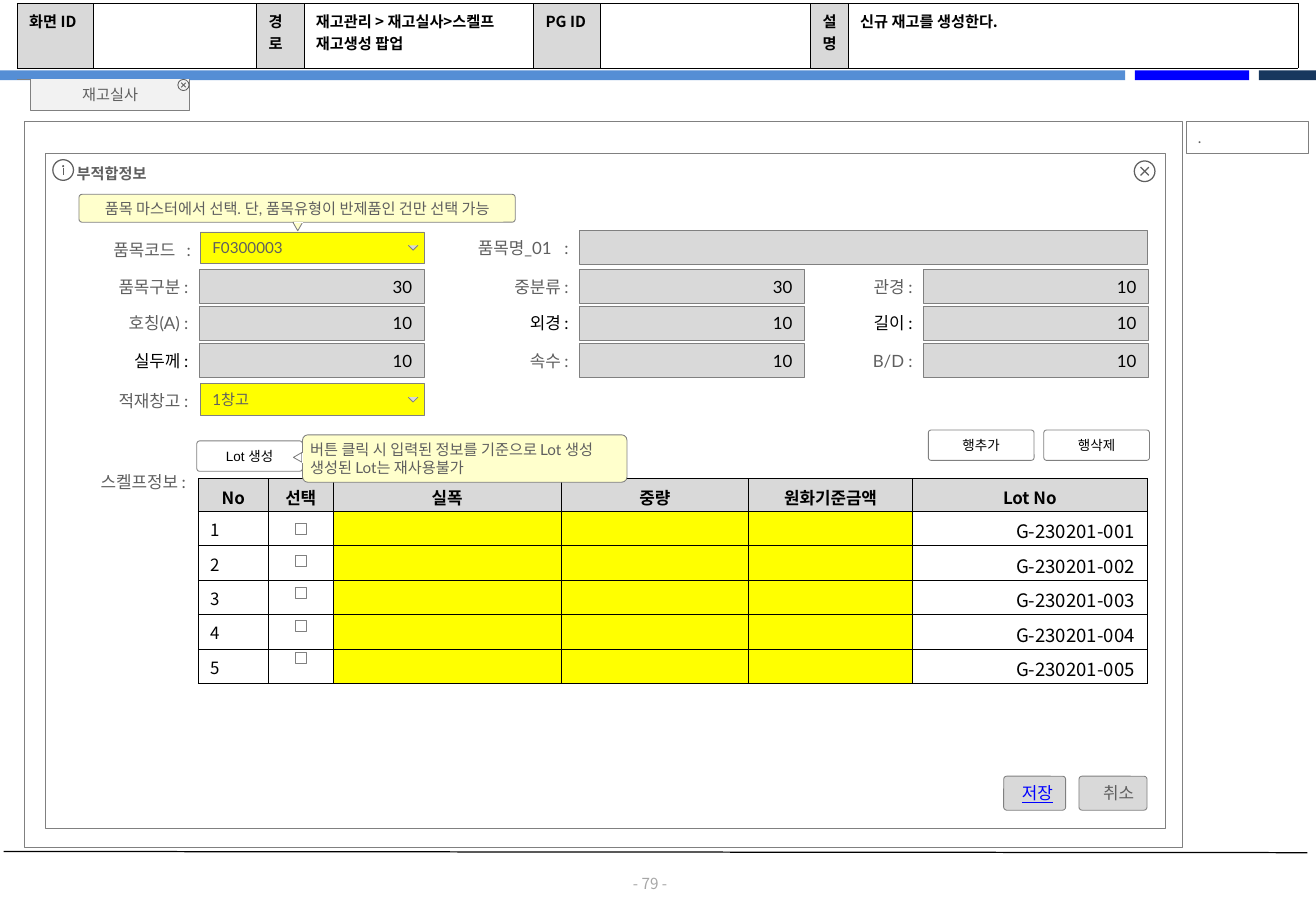
from dataclasses import dataclass

from lxml import etree
from pptx import Presentation
from pptx.dml.color import RGBColor
from pptx.enum.shapes import MSO_CONNECTOR, MSO_SHAPE
from pptx.enum.text import MSO_ANCHOR, PP_ALIGN
from pptx.oxml.ns import qn
from pptx.util import Emu, Inches, Pt

RECTANGLE, ROUNDED = MSO_SHAPE.RECTANGLE, MSO_SHAPE.ROUNDED_RECTANGLE
OVAL, TRIANGLE = MSO_SHAPE.OVAL, MSO_SHAPE.ISOSCELES_TRIANGLE
STRAIGHT = MSO_CONNECTOR.STRAIGHT
LEFT, CENTER, RIGHT = PP_ALIGN.LEFT, PP_ALIGN.CENTER, PP_ALIGN.RIGHT
TOP, MIDDLE, BOTTOM = MSO_ANCHOR.TOP, MSO_ANCHOR.MIDDLE, MSO_ANCHOR.BOTTOM

BLACK, WHITE = RGBColor(0, 0, 0), RGBColor(255, 255, 255)
INK, EDGE = RGBColor(0x5F, 0x5F, 0x5F), RGBColor(0x80, 0x80, 0x80)
GREY, PALE = RGBColor(0xD9, 0xD9, 0xD9), RGBColor(0xF2, 0xF2, 0xF2)
FAINT = RGBColor(0xA6, 0xA6, 0xA6)
YELLOW, CREAM = RGBColor(255, 255, 0), RGBColor(255, 255, 0xCC)
SKY, BLUE = RGBColor(0x55, 0x8E, 0xD5), RGBColor(0, 0, 255)
NAVY = RGBColor(0x17, 0x37, 0x5E)
LATO, ARIAL, NOTO = "Lato", "Arial", "Noto Sans CJK KR"

# The page is a grid of 108.3 columns by 75 rows; boxes are (left, top, width, height).
CELL = Inches(0.1)
FORM_LEFTS = (16.4, 47.7, 76)
FORM_ROWS = (19, 22.2, 25.2, 28.3, 31.6)
FIELD_WIDTH, FIELD_HEIGHT, LABEL_WIDTH = 18.5, 2.8, 11
LOT_TOP, LOT_ROW = 39.4, 16 / 6
Box = tuple[float, float, float, float]


@dataclass
class Field:
    label: str
    value: str
    column: int
    row: int
    color: RGBColor = INK
    width: float = FIELD_WIDTH


@dataclass
class Button:
    text: str
    box: Box
    size: int = 8
    font: str = ARIAL
    color: RGBColor = BLACK
    fill: RGBColor | None = None
    align: PP_ALIGN = CENTER
    underline: bool = False


FIELDS = [
    Field("품목명_01   :", "", 1, 0, width=46.7),
    Field("품목구분 :", "30", 0, 1), Field("중분류 :", "30", 1, 1), Field("관경 :", "10", 2, 1),
    Field("호칭(A) :", "10", 0, 2), Field("외경 :", "10", 1, 2, BLACK),
    Field("길이 :", "10", 2, 2, BLACK),
    Field("실두께 :", "10", 0, 3, BLACK), Field("속수 :", "10", 1, 3), Field("B/D :", "10", 2, 3),
]
BUTTONS = [
    Button("행추가", (76.4, 35.4, 8.7, 2.5)),
    Button("행삭제", (85.9, 35.4, 8.7, 2.5)),
    Button("Lot 생성", (16.2, 36.3, 8.7, 2.5)),
    Button("저장", (82.6, 63.9, 5.1, 2.8), 10, LATO, BLUE, GREY, RIGHT, True),
    Button("취소", (88.8, 63.9, 5.6, 2.8), 10, LATO, INK, GREY, RIGHT),
]
BARS = [(0, 92.6, SKY), (93.4, 9.4, BLUE), (103.6, 4.7, NAVY)]
HEADER = ["화면 ID", "", "경로", "재고관리 > 재고실사>스켈프 재고생성 팝업", "PG ID", "", "설명",
          "신규 재고를 생성한다."]
HEADER_COLUMNS = [6.3, 13.4, 3.9, 18.9, 5.5, 17.3, 3.1, 37]
LOT_HEADER = ["No", "선택", "실폭", "중량", "원화기준금액", "Lot No"]
LOT_COLUMNS = [5.8, 5.3, 18.8, 15.4, 13.5, 19.3]

deck = Presentation()
deck.slide_width, deck.slide_height = Inches(10.83), Inches(7.5)
page = deck.slides.add_slide(deck.slide_layouts[5])


def grid(*lengths: float) -> list[Emu]:
    return [Emu(round(length * CELL)) for length in lengths]


def write(frame, text: str, *, size=9, color=INK, font=LATO, bold=False, underline=False,
          align=LEFT, anchor=MIDDLE, insets=(1, 0.5, 1, 0.5), wrap=True) -> None:
    frame.word_wrap, frame.vertical_anchor = wrap, anchor
    (frame.margin_left, frame.margin_top,
     frame.margin_right, frame.margin_bottom) = grid(*insets)
    for number, line in enumerate(text.split("\n")):
        para = frame.add_paragraph() if number else frame.paragraphs[0]
        para.alignment = align
        span = para.add_run()
        span.text = line
        span.font.size, span.font.name = Pt(size), font
        span.font.bold, span.font.underline = bold, underline
        span.font.color.rgb = color


def paint(shape, fill: RGBColor | None, edge: RGBColor | None, weight=0.5):
    shape.shadow.inherit = False
    if fill is None:
        shape.fill.background()
    else:
        shape.fill.solid()
        shape.fill.fore_color.rgb = fill
    if edge is None:
        shape.line.fill.background()
    else:
        shape.line.color.rgb, shape.line.width = edge, Pt(weight)
    return shape


def draw(box: Box, fill=None, edge=EDGE, kind=RECTANGLE, corner=0.09, weight=0.5):
    shape = page.shapes.add_shape(kind, *grid(*box))
    if kind == ROUNDED:
        shape.adjustments[0] = corner
    return paint(shape, fill, edge, weight)


def draw_line(left: float, top: float, right: float, bottom: float, color=EDGE, weight=0.5) -> None:
    line = page.shapes.add_connector(STRAIGHT, *grid(left, top, right, bottom))
    line.line.color.rgb, line.line.width = color, Pt(weight)
    etree.SubElement(line._element.spPr, qn("a:effectLst"))


def draw_outline(points: list[tuple[float, float]], fill: RGBColor):
    """Draw an open outline through the points."""
    corners = [grid(*point) for point in points]
    builder = page.shapes.build_freeform(*corners[0])
    builder.add_line_segments(corners[1:], close=False)
    return paint(builder.convert_to_shape(), fill, EDGE)


def draw_label(text: str, right: float, top: float, color=INK) -> None:
    label = page.shapes.add_textbox(*grid(right - LABEL_WIDTH, top, LABEL_WIDTH, FIELD_HEIGHT))
    write(label.text_frame, text, size=10, color=color, align=RIGHT, insets=(0.8, 0.6, 0.8, 0.6))


def draw_select(text: str, top: float) -> None:
    box = draw((16.5, top, 18.4, 2.6), YELLOW)
    write(box.text_frame, text, insets=(1, 0.6, 2.8, 0.6))
    draw_outline([(34.4, top + 1.1), (34, top + 1.5), (33.6, top + 1.1)], GREY)


def draw_close_icon(x: float, y: float, radius: float, weight: float) -> None:
    draw((x - radius, y - radius, 2 * radius, 2 * radius), None, INK, OVAL, weight=weight)
    arm = radius * 0.4
    for rise in (arm, -arm):
        draw_line(x - arm, y - rise, x + arm, y + rise, INK, weight)


def draw_callout(text: str, box: Box, tail: Box, turn: int, tail_fill: RGBColor,
                 seam: Box, **style) -> None:
    """Draw a bubble with a triangular tail; the seam hides the edge between them."""
    bubble = draw(box, CREAM, kind=ROUNDED, corner=0.11)
    write(bubble.text_frame, text, insets=(0.5, 0.3, 0.5, 0.3), wrap=False, **style)
    draw(tail, tail_fill, kind=TRIANGLE).rotation = turn
    draw_line(*seam, WHITE)


def draw_table(left: float, top: float, columns: list[float], row_height: float, rows: int):
    box = grid(left, top, sum(columns), row_height * rows)
    table = page.shapes.add_table(rows, len(columns), *box).table
    table.first_row = table.horz_banding = False
    for column, width in zip(table.columns, grid(*columns)):
        column.width = width
    for row in table.rows:
        row.height = grid(row_height)[0]
    return table


def fill_cell(cell, text: str, fill: RGBColor, **style) -> None:
    properties = cell._tc.get_or_add_tcPr()
    for side in ("a:lnL", "a:lnR", "a:lnT", "a:lnB"):
        border = etree.SubElement(properties, qn(side), w=str(Pt(0.25)))
        solid = etree.SubElement(border, qn("a:solidFill"))
        etree.SubElement(solid, qn("a:srgbClr"), val=str(BLACK))
    cell.fill.solid()
    cell.fill.fore_color.rgb = fill
    if text:
        write(cell.text_frame, text, color=BLACK, font=NOTO, **style)
    else:
        etree.SubElement(cell.text_frame.paragraphs[0]._p, qn("a:endParaRPr"), sz="900")


for left, width, color in BARS:
    draw((left, 5.8, width, 0.8), color, None)
draw_line(0.3, 70.1, 107.6, 70.2, BLACK, 0.75)
number = page.shapes.add_textbox(*grid(50.5, 72, 6, 1.5))
write(number.text_frame, "- 79 -", color=FAINT, font=NOTO, align=CENTER, insets=(0, 0, 0, 0))

header = draw_table(1.4, 0.3, HEADER_COLUMNS, 5.3, 1)
for index, text in enumerate(HEADER):
    fill_cell(header.cell(0, index), text, WHITE if index % 2 else GREY, bold=True)

draw_line(2.5, 6.5, 1.4, 6.5)
tab = draw_outline([(15.6, 6.5), (15.6, 9.1), (2.5, 9.1), (2.5, 6.5)], PALE)
write(tab.text_frame, "재고실사", align=CENTER)
draw_close_icon(15.1, 7, 0.46, 0.5)
remark = draw((97.6, 10, 10.1, 2.6), WHITE)
write(remark.text_frame, ".", anchor=TOP, insets=(1, 0.6, 1, 0.6))

draw((2, 10, 95.3, 59.8))
draw((3.7, 12.6, 92.2, 55.6))
title = page.shapes.title
title.left, title.top, title.width, title.height = grid(5.5, 13.1, 7.9, 2.3)
write(title.text_frame, "부적합정보", bold=True, anchor=TOP, insets=(0.8, 0.4, 0.8, 0.4), wrap=False)
draw((4.35, 13.15, 1.7, 1.7), None, INK, OVAL, weight=0.75)
draw((5.12, 13.6, 0.16, 0.16), INK, None, OVAL)
draw_line(5.2, 13.85, 5.2, 14.4, INK, 0.75)
draw_close_icon(94.2, 14.1, 0.85, 0.75)

for field in FIELDS:
    left, top = FORM_LEFTS[field.column], FORM_ROWS[field.row]
    box = draw((left, top, field.width, FIELD_HEIGHT), GREY)
    if field.value:
        write(box.text_frame, field.value, size=10, color=BLACK, align=RIGHT,
              insets=(1, 0.6, 1, 0.6))
    draw_label(field.label, left - 0.1, top, field.color)
draw_label("품목코드   :", 16.5, 19.2)
draw_label("적재창고 :", 16.3, FORM_ROWS[4])
draw_label("스켈프정보 :", 16.1, 38.3)
draw_select("F0300003", 19.1)
draw_select("1창고", FORM_ROWS[4])

lots = draw_table(16.3, LOT_TOP, LOT_COLUMNS, LOT_ROW, 6)
for index, text in enumerate(LOT_HEADER):
    fill_cell(lots.cell(0, index), text, GREY, size=10, bold=True, align=CENTER, anchor=TOP,
              insets=(1, 0.45, 1, 0))
for row in range(1, 6):
    fill_cell(lots.cell(row, 0), str(row), WHITE, size=10, anchor=TOP, insets=(1, 0.45, 1, 0))
    fill_cell(lots.cell(row, 1), "", WHITE)
    for column in (2, 3, 4):
        fill_cell(lots.cell(row, column), "", YELLOW)
    fill_cell(lots.cell(row, 5), f"G-230201-{row:03}", WHITE, size=11, align=RIGHT,
              insets=(0.1, 0.1, 0.1, 0))
    draw((24.3, LOT_TOP + LOT_ROW * row + 1, 0.9, 0.9), WHITE)

for button in BUTTONS:
    shape = draw(button.box, button.fill, kind=ROUNDED)
    write(shape.text_frame, button.text, size=button.size, font=button.font, color=button.color,
          align=button.align, underline=button.underline)

draw_callout("버튼 클릭 시 입력된 정보를 기준으로 Lot 생성\n생성된 Lot는 재사용불가",
             (24.9, 35.8, 26.7, 3.9), (24.1, 37.3, 0.8, 0.7), 270, WHITE, (24.9, 37.3, 24.9, 38.1))
draw_callout("품목 마스터에서 선택. 단, 품목유형이 반제품인 건만 선택 가능",
             (6.5, 16, 35.9, 2.3), (24.1, 18.3, 0.8, 0.7), 180, CREAM, (24.2, 18.3, 24.9, 18.3),
             align=CENTER, anchor=BOTTOM)

deck.save("out.pptx")
